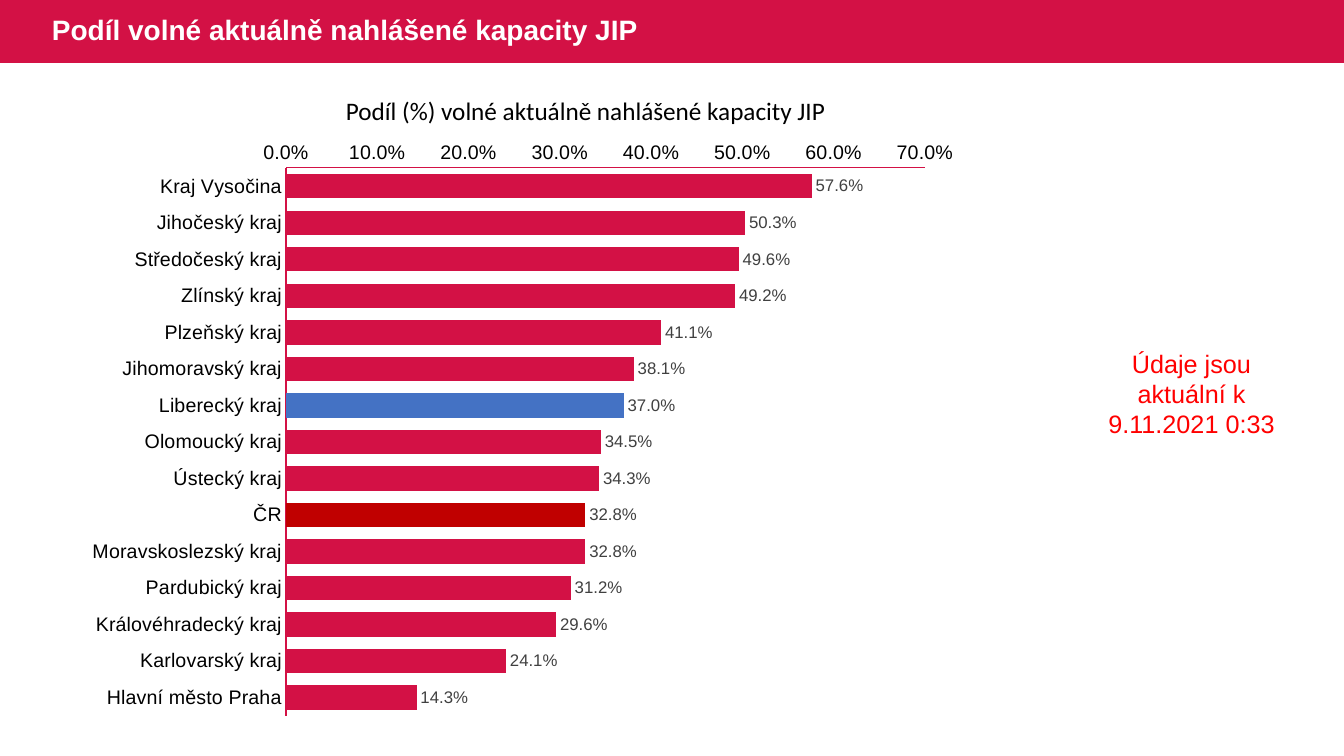
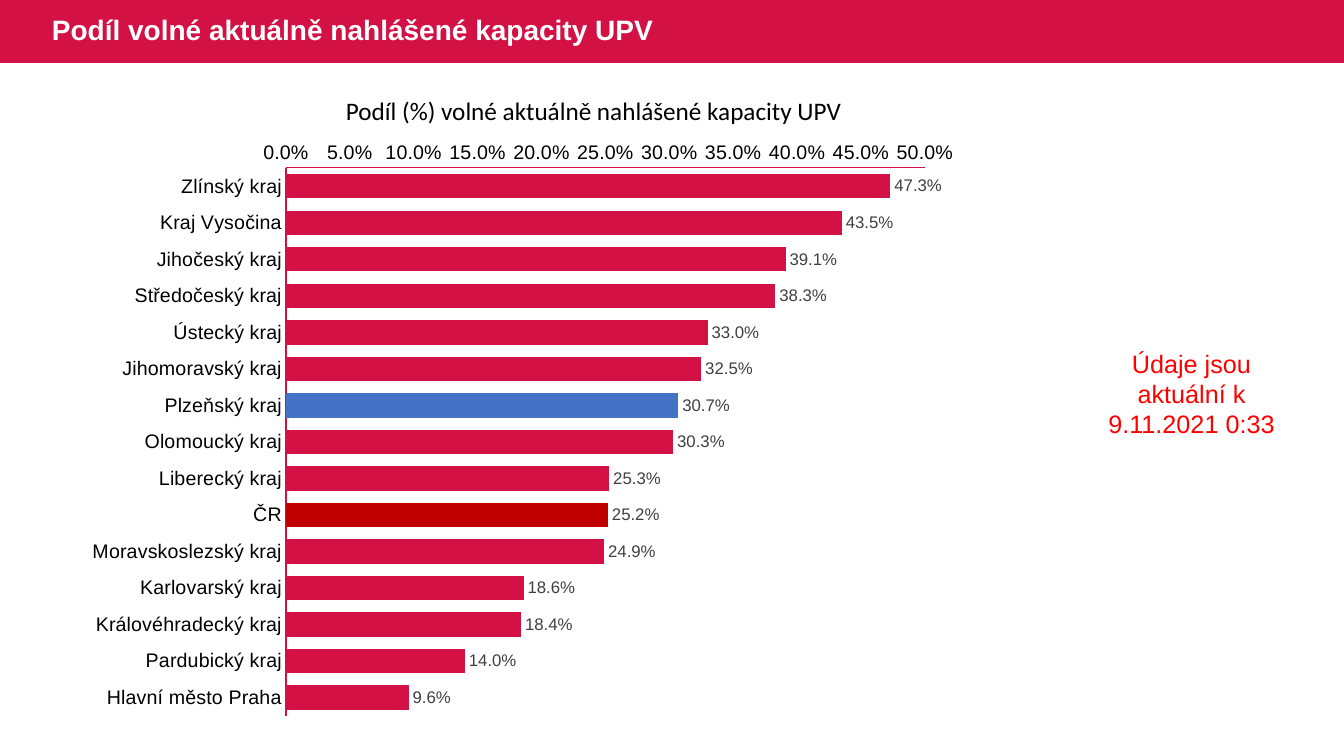
"""Build two slides that chart the free hospital capacity by region."""
from lxml.etree import SubElement
from pptx import Presentation
from pptx.chart.data import CategoryChartData
from pptx.dml.color import RGBColor
from pptx.enum.chart import XL_CHART_TYPE, XL_LABEL_POSITION, XL_TICK_MARK
from pptx.enum.shapes import MSO_SHAPE
from pptx.enum.text import MSO_ANCHOR, PP_ALIGN
from pptx.oxml.ns import qn
from pptx.util import Emu, Pt

SCALE = 914400 / 100.8
WIDE, HIGH, BAND = 1344, 756, 63
RED, BLUE, DARK = "D31145", "4472C4", "C00000"
BLACK, WHITE, GREY, ALERT = "000000", "FFFFFF", "404040", "FF0000"
FRAME = (75, 131, 896, 598)
PLOT = (286, 168, 639, 548)
MARKS = {6: BLUE, 9: DARK}
STAMP = "Údaje jsou aktuální k 9.11.2021 0:33"

DECKS = [
    ("JIP", 0.7, 0.1, [
        ("Kraj Vysočina", 0.576), ("Jihočeský kraj", 0.503),
        ("Středočeský kraj", 0.496), ("Zlínský kraj", 0.492),
        ("Plzeňský kraj", 0.411), ("Jihomoravský kraj", 0.381),
        ("Liberecký kraj", 0.37), ("Olomoucký kraj", 0.345),
        ("Ústecký kraj", 0.343), ("ČR", 0.328),
        ("Moravskoslezský kraj", 0.328), ("Pardubický kraj", 0.312),
        ("Královéhradecký kraj", 0.296), ("Karlovarský kraj", 0.241),
        ("Hlavní město Praha", 0.143)]),
    ("UPV", 0.5, 0.05, [
        ("Zlínský kraj", 0.473), ("Kraj Vysočina", 0.435),
        ("Jihočeský kraj", 0.391), ("Středočeský kraj", 0.383),
        ("Ústecký kraj", 0.33), ("Jihomoravský kraj", 0.325),
        ("Plzeňský kraj", 0.307), ("Olomoucký kraj", 0.303),
        ("Liberecký kraj", 0.253), ("ČR", 0.252),
        ("Moravskoslezský kraj", 0.249), ("Karlovarský kraj", 0.186),
        ("Královéhradecký kraj", 0.184), ("Pardubický kraj", 0.14),
        ("Hlavní město Praha", 0.096)]),
]


def px(*nums):
    """Turn pixel lengths into EMU."""
    return [Emu(round(num * SCALE)) for num in nums]


def style(item, text=None, size=18, color=BLACK, face="Arial", bold=False,
          wrap=True, align=PP_ALIGN.LEFT, anchor=MSO_ANCHOR.TOP, lead=None):
    """Format the font of a chart part, or fill a text box and format it."""
    if text is not None:
        frame = item.text_frame
        frame.word_wrap, frame.vertical_anchor = wrap, anchor
        item = frame.paragraphs[0]
        item.alignment, item.line_spacing = align, lead
        item = item.add_run()
        item.text = text
    font = item.font
    font.size, font.name, font.bold = Pt(size), face, bold
    font.color.rgb = RGBColor.from_string(color)


deck = Presentation()
deck.slide_width, deck.slide_height = px(WIDE, HIGH)

for unit, top, step, rows in DECKS:
    slide = deck.slides.add_slide(deck.slide_layouts[6])
    shapes = slide.shapes

    band = shapes.add_shape(MSO_SHAPE.RECTANGLE, *px(0, 0, WIDE, BAND))
    band.shadow.inherit = False
    band.fill.solid()
    band.fill.fore_color.rgb = RGBColor.from_string(RED)
    band.line.fill.background()
    style(shapes.add_textbox(*px(42, 0, 1165, BAND)),
          f"Podíl volné aktuálně nahlášené kapacity {unit}", size=20,
          color=WHITE, bold=True, anchor=MSO_ANCHOR.MIDDLE, lead=0.9)

    data = CategoryChartData(number_format="0.0%")
    data.categories = [name for name, _ in rows]
    data.add_series("Series 1", [value for _, value in rows])
    chart = shapes.add_chart(
        XL_CHART_TYPE.BAR_CLUSTERED, *px(*FRAME), data).chart
    chart.has_legend = chart.has_title = False
    style(chart, size=10)

    for axis in (chart.category_axis, chart.value_axis):
        axis.has_major_gridlines = False
        axis.major_tick_mark = axis.minor_tick_mark = XL_TICK_MARK.NONE
        axis.format.line.width = Pt(0.75)
        axis.format.line.color.rgb = RGBColor.from_string(RED)
        style(axis.tick_labels, size=14)
    chart.category_axis.reverse_order = True
    scale = chart.value_axis
    scale.minimum_scale, scale.maximum_scale, scale.major_unit = 0, top, step
    scale.tick_labels.number_format = "0.0%"
    scale.tick_labels.number_format_is_linked = False

    plot = chart.plots[0]
    plot.gap_width, plot.vary_by_categories = 50, False
    bars = plot.series[0]
    bars.invert_if_negative = False
    for fill, color in [(bars.format.fill, RED)] + [
            (bars.points[at].format.fill, tint) for at, tint in MARKS.items()]:
        fill.solid()
        fill.fore_color.rgb = RGBColor.from_string(color)
    labels = bars.data_labels
    labels.show_value = True
    labels.number_format, labels.number_format_is_linked = "0.0%", False
    labels.position = XL_LABEL_POSITION.OUTSIDE_END
    style(labels, size=12, color=GREY)

    area = chart.element.find(".//" + qn("c:plotArea"))
    for old in area.findall(qn("c:layout")):
        area.remove(old)
    layout = SubElement(area, qn("c:layout"))
    area.insert(0, layout)
    manual = SubElement(layout, qn("c:manualLayout"))
    left, head, wide, high = FRAME
    parts = {"layoutTarget": "inner", "xMode": "edge", "yMode": "edge",
             "x": (PLOT[0] - left) / wide, "y": (PLOT[1] - head) / high,
             "w": PLOT[2] / wide, "h": PLOT[3] / high}
    for tag, value in parts.items():
        SubElement(manual, qn(f"c:{tag}")).set("val", str(value))

    style(shapes.add_textbox(*px(336, 90, 520, 40)),
          f"Podíl (%) volné aktuálně nahlášené kapacity {unit}",
          face="Calibri", wrap=False)
    style(shapes.add_textbox(*px(1088, 343, 207, 102)), STAMP,
          color=ALERT, align=PP_ALIGN.CENTER)

deck.save("out.pptx")
